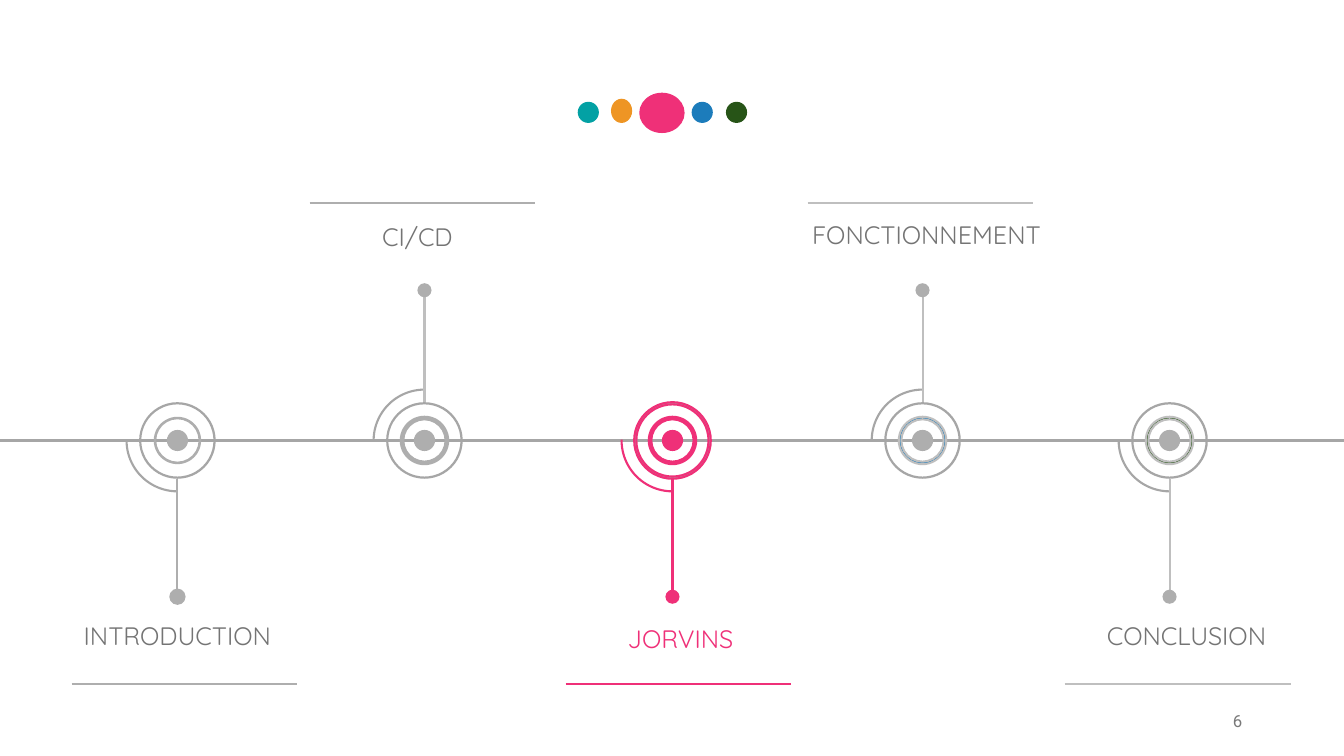
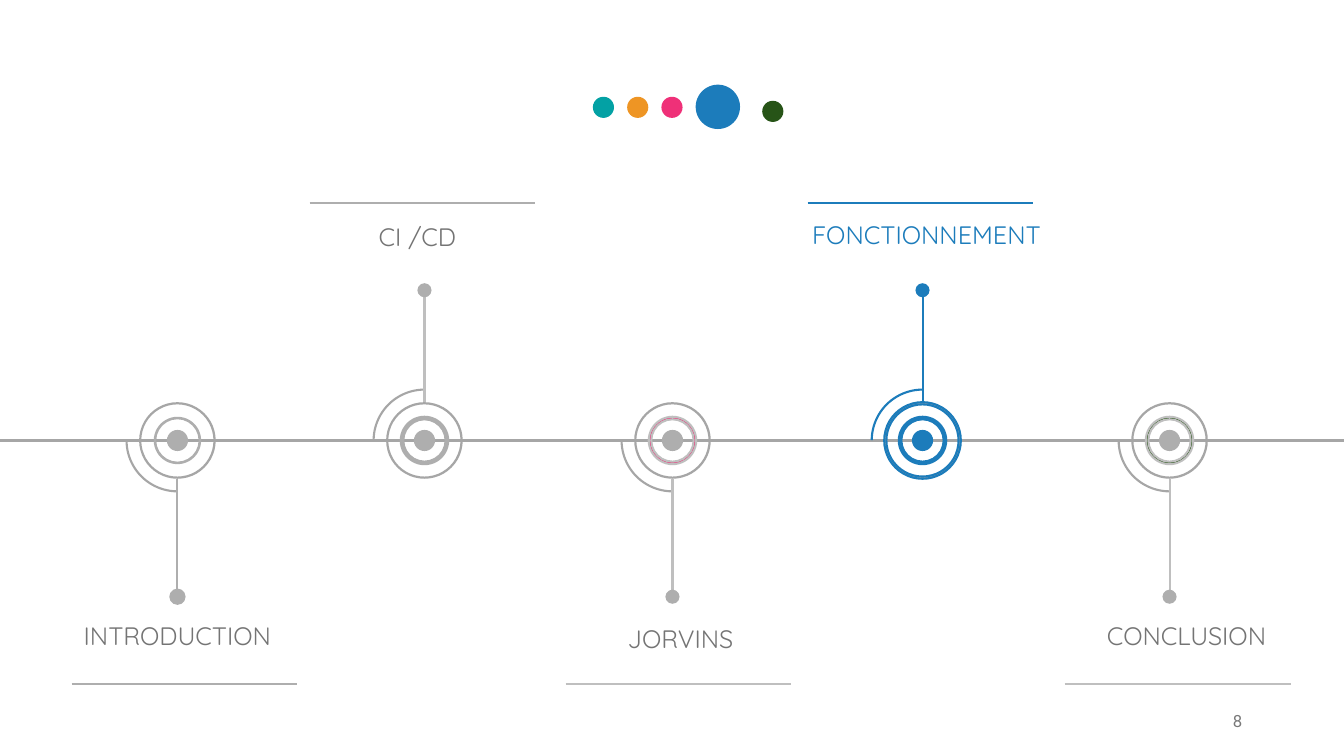
from dataclasses import dataclass
from itertools import pairwise

from lxml import etree
from pptx import Presentation
from pptx import util as u
from pptx.dml.color import RGBColor
from pptx.enum import shapes, text
from pptx.oxml.ns import qn

# Scale: 100 px to the inch
PX = 9144
WIDTH, HEIGHT = 1333, 750

# Shared colours and style
TEAL, ORANGE, PINK, BLUE, GREEN = "03A1A4", "EE9524", "EF3078", "1C7CBB", "275417"
ACCENTS = (TEAL, ORANGE, PINK, BLUE, GREEN)
AXIS, GRAY, PALE = "A6A6A6", "AEAEAE", "BFBFBF"
LABEL, PAGE_NO = "747474", "797979"
LINE_PT = 1.5
AXIS_Y = 437
RULE_W = 224
SHAPE = shapes.MSO_SHAPE
ALIGN = text.PP_ALIGN


@dataclass
class Milestone:
    name: str
    x: int
    above: bool
    label_x: int
    label_y: int
    rule_x: int
    ring: str
    ring_line: str | None = PALE
    stem: str = PALE
    rule: str = PALE
    end_line: str | None = None
    label_w: int = 350
    align: int = ALIGN.CENTER


MILESTONES = (
    Milestone("INTRODUCTION", 176, False, 1, 611, 71, GRAY, ring_line=None,
              stem=GRAY, rule=GRAY, end_line=GRAY),
    Milestone("CI/CD", 421, True, 239, 215, 307, GRAY, ring_line=GRAY, rule=GRAY),
    Milestone("JORVINS", 667, False, 500, 613, 561, PINK),
    Milestone("FONCTIONNEMENT", 915, True, 744, 213, 801, BLUE),
    Milestone("CONCLUSION", 1160, False, 1088, 611, 1056, GREEN,
              label_w=200, align=ALIGN.LEFT),
)


def px(n):
    return u.Emu(round(n * PX))


def color(value):
    return RGBColor.from_string(value)


def style_line(line, value):
    if value:
        line.color.rgb = color(value)
        line.width = u.Pt(LINE_PT)
    else:
        line.fill.background()


def add_line(s, x1, y1, x2, y2, value):
    c = s.shapes.add_connector(shapes.MSO_CONNECTOR.STRAIGHT,
                               px(x1), px(y1), px(x2), px(y2))
    style_line(c.line, value)
    etree.SubElement(c._element.spPr, qn("a:effectLst"))


def add_shape(s, kind, x, y, w, h, fill=None, line=None, adj=(), rot=0):
    sp = s.shapes.add_shape(kind, px(x), px(y), px(w), px(h))
    sp.shadow.inherit = False
    sp.rotation = rot
    for i, value in enumerate(adj):
        sp.adjustments[i] = value
    if fill:
        sp.fill.solid()
        sp.fill.fore_color.rgb = color(fill)
    else:
        sp.fill.background()
    style_line(sp.line, line)


def add_centred(s, kind, x, y, size, **style):
    add_shape(s, kind, x - size / 2, y - size / 2, size, size, **style)


def add_text(s, words, x, y, w, h=40, *, size=18, font="Quicksand", fill=LABEL,
             align=ALIGN.CENTER, anchor=text.MSO_ANCHOR.TOP):
    tf = s.shapes.add_textbox(px(x), px(y), px(w), px(h)).text_frame
    tf.word_wrap = True
    tf.vertical_anchor = anchor
    p = tf.paragraphs[0]
    p.alignment = align
    r = p.add_run()
    r.text = words
    r.font.size = u.Pt(size)
    r.font.name = font
    r.font.color.rgb = color(fill)


def add_axis(s):
    stops = [0, *(m.x for m in MILESTONES), WIDTH]
    for x1, x2 in pairwise(stops):
        add_line(s, x1, AXIS_Y, x2, AXIS_Y, AXIS)


def add_milestone(s, m, name, accent=None):
    # Target: quarter arc, dot and two rings
    add_centred(s, SHAPE.ARC, m.x, AXIS_Y, 101, line=accent or AXIS,
                adj=(54.2, 108.53), rot=90 if m.above else 0)
    add_centred(s, SHAPE.OVAL, m.x, AXIS_Y, 21, fill=accent or GRAY)
    add_centred(s, SHAPE.DONUT, m.x, AXIS_Y, 47, fill=m.ring,
                line=accent or m.ring_line, adj=(0.053,))
    add_centred(s, SHAPE.DONUT, m.x, AXIS_Y, 76, fill=AXIS, line=accent, adj=(0.029,))

    # Stem with its end dot
    stem_start, stem_end, dot_y, rule_y = (
        (399, 286, 288, 201) if m.above else (475, 588, 592, 679))
    add_line(s, m.x, stem_end, m.x, stem_start, accent or m.stem)
    add_centred(s, SHAPE.OVAL, m.x, dot_y, 14, fill=accent or GRAY, line=m.end_line)

    # Label and rule
    add_text(s, name, m.label_x, m.label_y, m.label_w,
             fill=accent or LABEL, align=m.align)
    add_line(s, m.rule_x, rule_y, m.rule_x + RULE_W, rule_y, accent or m.rule)


def add_timeline_slide(prs, current, page, dots, names=None):
    s = prs.slides.add_slide(prs.slide_layouts[6])
    add_axis(s)
    for i, m in enumerate(MILESTONES):
        name = (names or {}).get(i, m.name)
        add_milestone(s, m, name, ACCENTS[i] if i == current else None)
    for box, accent in zip(dots, ACCENTS):
        add_shape(s, SHAPE.OVAL, *box, fill=accent)
    add_text(s, page, 942, 695, 300, size=12, font="Roboto", fill=PAGE_NO,
             align=ALIGN.RIGHT, anchor=text.MSO_ANCHOR.MIDDLE)


def main():
    prs = Presentation()
    prs.slide_width, prs.slide_height = px(WIDTH), px(HEIGHT)

    # Progress dots: left, top, width, height
    add_timeline_slide(prs, 2, "6", (
        (573, 101, 21, 21), (606, 98, 21, 24), (634, 92, 45, 40),
        (686, 101, 21, 21), (720, 101, 21, 21)))
    add_timeline_slide(prs, 3, "8", (
        (588, 96, 21, 21), (622, 96, 21, 21), (656, 96, 21, 21),
        (690, 84, 44, 44), (756, 100, 21, 21)), names={1: "CI /CD"})

    prs.save("out.pptx")


if __name__ == "__main__":
    main()
